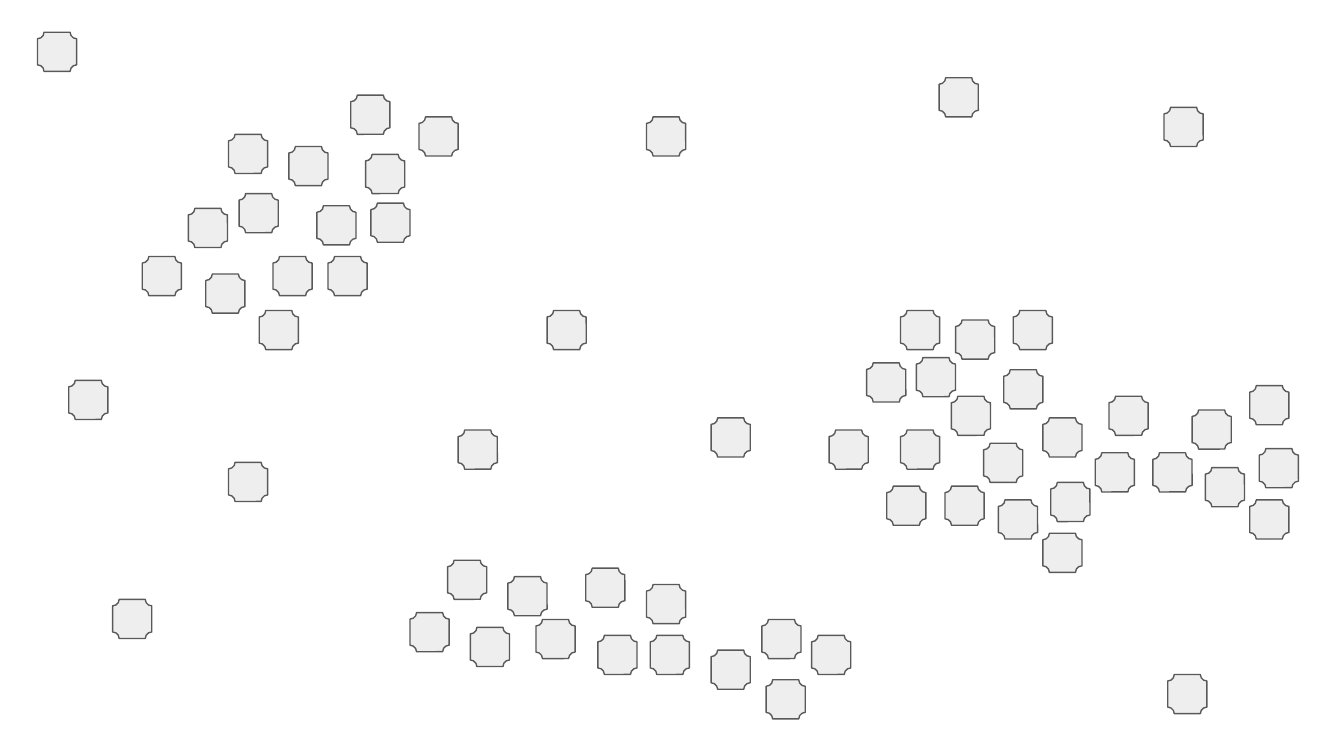
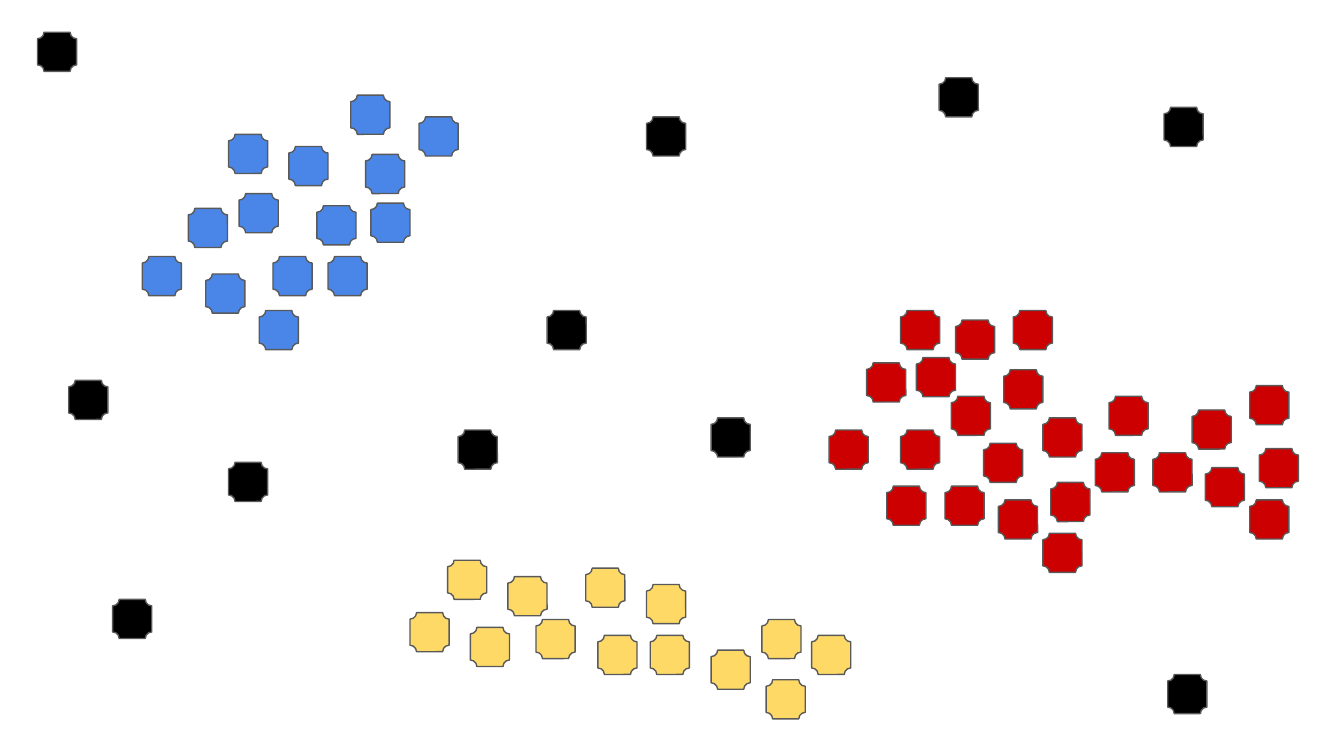
import pptx
import pptx.dml.color
import pptx.enum.shapes
import pptx.util

Cm = pptx.util.Cm

SLIDE_WIDTH, SLIDE_HEIGHT = 25.4, 14.29
POINT_SIZE = 0.74
OUTLINE_COLOR = "595959"
OUTLINE_WIDTH = 0.75

CLUSTERS = {
    "upper left": [
        (5.99, 3.89), (4.32, 2.54), (3.56, 3.94), (4.52, 3.66), (6.63, 1.8),
        (7.92, 2.21), (5.46, 2.77), (6.91, 2.92), (2.69, 4.85), (3.89, 5.18),
        (4.9, 5.87), (5.16, 4.85), (6.2, 4.85), (7.01, 3.84),
    ],
    "right": [
        (16.38, 6.86), (17.02, 5.87), (17.32, 6.76), (17.98, 7.49), (18.06, 6.05),
        (19.15, 5.87), (18.97, 6.99), (18.87, 9.45), (17.02, 8.13), (18.59, 8.38),
        (16.76, 9.19), (19.86, 9.12), (19.71, 7.9), (15.67, 8.13), (17.86, 9.19),
        (19.71, 10.08), (22.78, 8.84), (20.96, 7.49), (22.53, 7.75), (20.7, 8.56),
        (23.8, 8.48), (23.62, 7.29), (21.79, 8.56), (23.62, 9.45),
    ],
    "bottom": [
        (7.75, 11.58), (8.89, 11.86), (8.46, 10.59), (9.6, 10.9), (10.13, 11.71),
        (11.3, 12.01), (11.07, 10.74), (12.22, 11.05), (12.29, 12.01), (13.44, 12.29),
        (14.48, 12.85), (15.34, 12.01), (14.4, 11.71),
    ],
    "noise": [
        (12.22, 2.21), (22.0, 2.03), (13.44, 7.9), (1.3, 7.19), (4.32, 8.74),
        (2.13, 11.33), (10.34, 5.87), (8.66, 8.13), (22.07, 12.75), (17.75, 1.47),
        (0.71, 0.61),
    ],
}

UNLABELLED_COLORS = dict.fromkeys(CLUSTERS, "EEEEEE")
CLUSTER_COLORS = {
    "upper left": "4A86E8",
    "right": "CC0000",
    "bottom": "FFD966",
    "noise": "000000",
}


def set_color(color_format, value):
    color_format.rgb = pptx.dml.color.RGBColor.from_string(value)


def add_point(slide, left, top, color):
    shape = slide.shapes.add_shape(
        pptx.enum.shapes.MSO_SHAPE.PLAQUE,
        Cm(left), Cm(top), Cm(POINT_SIZE), Cm(POINT_SIZE),
    )
    shape.shadow.inherit = False
    shape.fill.solid()
    set_color(shape.fill.fore_color, color)
    set_color(shape.line.color, OUTLINE_COLOR)
    shape.line.width = pptx.util.Pt(OUTLINE_WIDTH)


def add_scatter_slide(presentation, colors):
    slide = presentation.slides.add_slide(presentation.slide_layouts[6])
    for cluster, points in CLUSTERS.items():
        for left, top in points:
            add_point(slide, left, top, colors[cluster])


def main():
    presentation = pptx.Presentation()
    presentation.slide_width = Cm(SLIDE_WIDTH)
    presentation.slide_height = Cm(SLIDE_HEIGHT)
    for colors in (UNLABELLED_COLORS, CLUSTER_COLORS):
        add_scatter_slide(presentation, colors)
    presentation.save("out.pptx")


if __name__ == "__main__":
    main()
